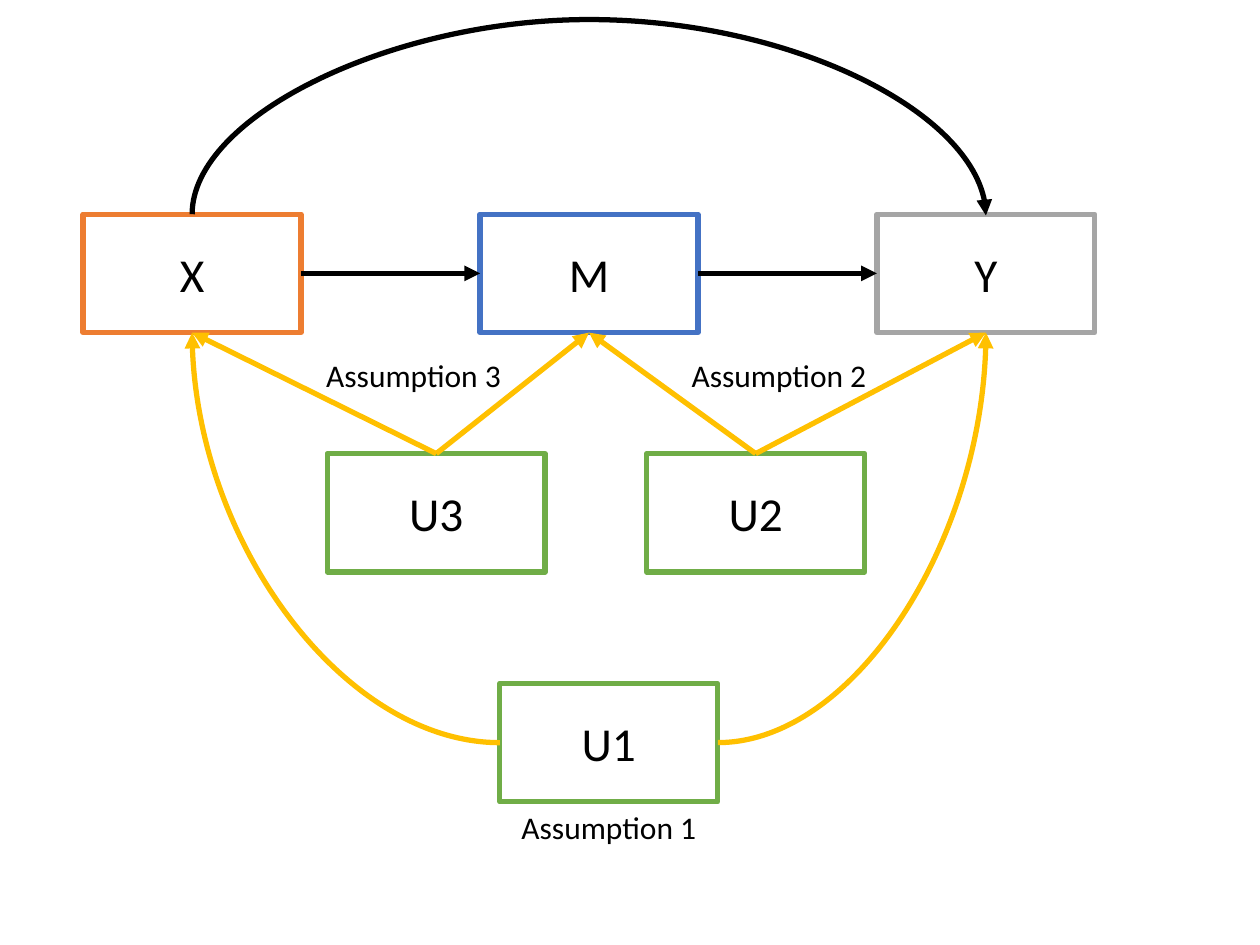
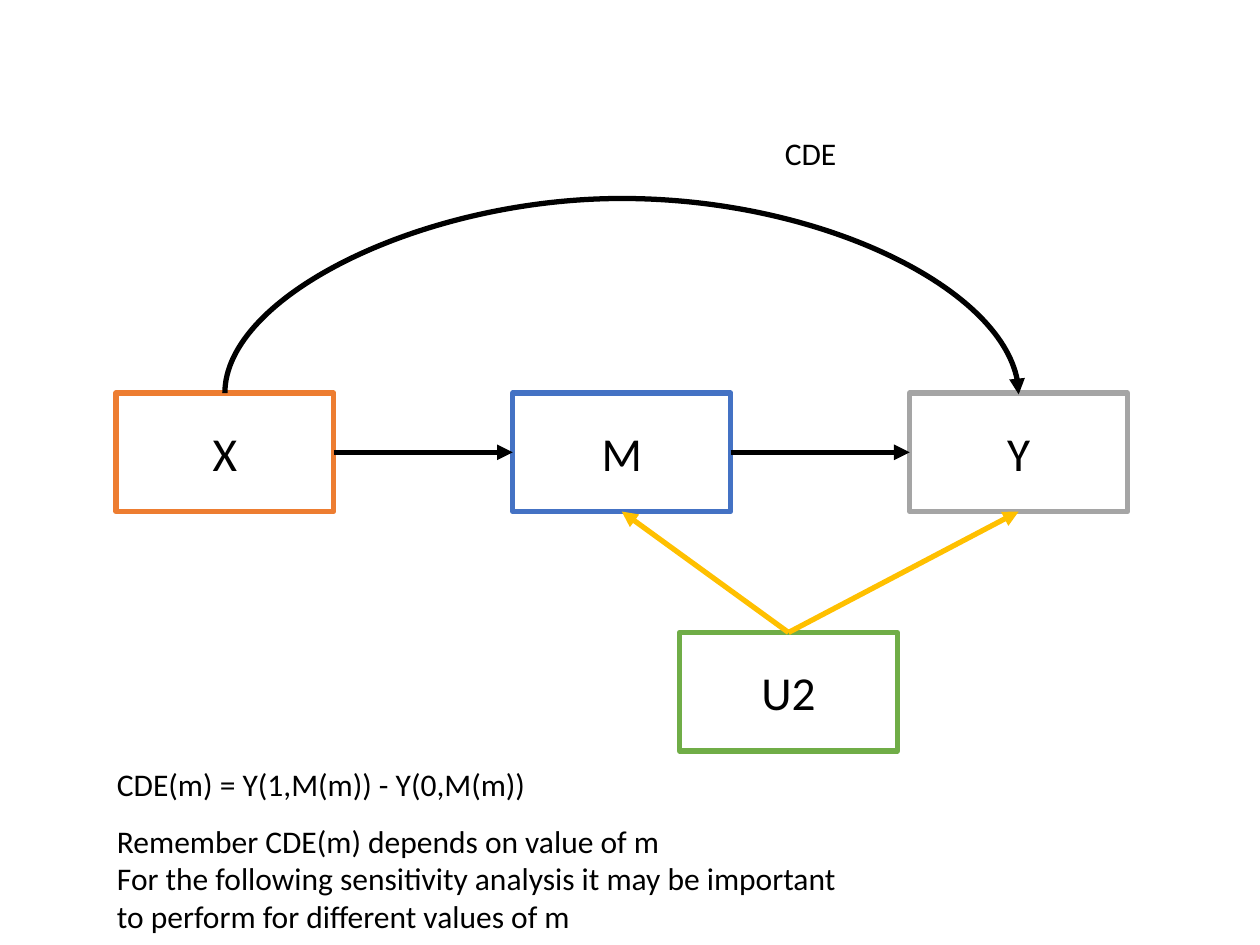
from lxml.etree import SubElement
from pptx import Presentation
from pptx.dml.color import RGBColor
from pptx.enum.shapes import MSO_CONNECTOR, MSO_SHAPE
from pptx.enum.text import MSO_ANCHOR, MSO_AUTO_SIZE, PP_ALIGN
from pptx.oxml.ns import qn
from pptx.util import Inches, Pt

BLACK = RGBColor(0x00, 0x00, 0x00)
WHITE = RGBColor(0xFF, 0xFF, 0xFF)
ORANGE = RGBColor(0xED, 0x7D, 0x31)
BLUE = RGBColor(0x44, 0x72, 0xC4)
GRAY = RGBColor(0xA5, 0xA5, 0xA5)
GREEN = RGBColor(0x70, 0xAD, 0x47)
GOLD = RGBColor(0xFF, 0xC0, 0x00)

SLIDE_W, SLIDE_H = Inches(10), Inches(7.5)
NODE_W, NODE_H = Inches(1.73), Inches(0.94)
COLUMN = Inches(3.15)   # step from X to M and from M to Y
ROW = Inches(1.9)       # step from the chain down to U2 and U3
ARC_RISE = Inches(1.57)
STROKE = Pt(3)
FONT = "Calibri"
NODE_SIZE, LABEL_SIZE = Pt(27), Pt(18)
TOP, LEFT, BOTTOM, RIGHT = range(4)

CHAIN = {"X": ORANGE, "M": BLUE, "Y": GRAY}
# Offsets of the confounders from the chain, in columns and rows
CONFOUNDERS = {"U1": (1.05, 1.96), "U2": (1.42, 1), "U3": (0.615, 1)}


def write(frame, paragraphs, size, align=PP_ALIGN.LEFT):
    for index, text in enumerate(paragraphs):
        paragraph = frame.paragraphs[0] if index == 0 else frame.add_paragraph()
        paragraph.alignment = align
        run = paragraph.add_run()
        run.text = text
        run.font.color.rgb = BLACK
        for name, value in {"name": FONT, "size": size}.items():
            setattr(run.font, name, value)


def add_node(slide, name, color, left, top):
    node = slide.shapes.add_shape(MSO_SHAPE.RECTANGLE, left, top, NODE_W, NODE_H)
    node.shadow.inherit = False
    node.fill.solid()
    node.fill.fore_color.rgb = WHITE
    node.line.color.rgb = color
    node.line.width = STROKE
    node.text_frame.vertical_anchor = MSO_ANCHOR.MIDDLE
    write(node.text_frame, [name], NODE_SIZE, PP_ALIGN.CENTER)
    return node


def add_label(slide, x, y, width, height, *paragraphs, wrap=False):
    """Place a label by shares of the slide's size."""
    label = slide.shapes.add_textbox(
        int(x * SLIDE_W), int(y * SLIDE_H), int(width * SLIDE_W), int(height * SLIDE_H))
    label.text_frame.word_wrap = wrap
    label.text_frame.auto_size = MSO_AUTO_SIZE.SHAPE_TO_FIT_TEXT
    write(label.text_frame, paragraphs, LABEL_SIZE)


def style_arrow(arrow, color):
    arrow.line.color.rgb = color
    arrow.line.width = STROKE
    properties = arrow.element.spPr
    SubElement(properties.find(qn("a:ln")), qn("a:tailEnd"), type="triangle")
    SubElement(properties, qn("a:effectLst"))


def add_arrow(slide, source, source_side, target, target_side, color):
    arrow = slide.shapes.add_connector(MSO_CONNECTOR.STRAIGHT, 0, 0, 0, 0)
    arrow.begin_connect(source, source_side)
    arrow.end_connect(target, target_side)
    style_arrow(arrow, color)


def add_curve(slide, left, top, width, height, color, preset, turn, bend=None):
    """Draw a curved arrow in a box; turn holds its rotation and flips."""
    curve = slide.shapes.add_connector(
        MSO_CONNECTOR.CURVE, left, top, left + width, top + height)
    properties = curve.element.spPr
    for name, value in turn.items():
        properties.find(qn("a:xfrm")).set(name, value)
    geometry = properties.find(qn("a:prstGeom"))
    geometry.set("prst", preset)
    if bend is not None:
        SubElement(geometry.find(qn("a:avLst")), qn("a:gd"),
                   name="adj1", fmla=f"val {bend}")
    style_arrow(curve, color)


def middle(node):
    return node.left + node.width // 2


def add_direct_effect(slide, source, target):
    """Arc over the chain, from the top of source to the top of target."""
    span = middle(target) - middle(source)
    depth = Inches(0.01)
    add_curve(slide, middle(source) + (span - depth) // 2,
              source.top + (depth - span) // 2, depth, span, BLACK,
              "curvedConnector3", {"rot": "16200000", "flipH": "1"},
              bend=-round(ARC_RISE / depth * 100000))


def add_chain(slide, left, top):
    """X, M and Y in a row, with the direct and the mediated effect."""
    nodes = [add_node(slide, name, color, left + column * COLUMN, top)
             for column, (name, color) in enumerate(CHAIN.items())]
    for source, target in zip(nodes, nodes[1:]):
        add_arrow(slide, source, RIGHT, target, LEFT, BLACK)
    add_direct_effect(slide, nodes[0], nodes[-1])
    return nodes


def add_confounder(slide, name, left, top, targets=()):
    """Unmeasured node below the chain, with arrows up to its targets."""
    column, row = CONFOUNDERS[name]
    node = add_node(slide, name, GREEN, left + int(column * COLUMN), top + int(row * ROW))
    for target in targets:
        add_arrow(slide, node, TOP, target, BOTTOM, GOLD)
    return node


def add_outer_curves(slide, node, exposure, outcome):
    """Curves from the sides of node up to the exposure and the outcome."""
    base = exposure.top + NODE_H
    rise = node.top + NODE_H // 2 - base
    right = node.left + NODE_W
    for start, end, turn in ((middle(exposure), node.left, {"rot": "10800000"}),
                             (right, middle(outcome), {"flipV": "1"})):
        add_curve(slide, start, base, end - start, rise, GOLD, "curvedConnector2", turn)


def build_assumptions(slide, left, top):
    exposure, mediator, outcome = add_chain(slide, left, top)
    add_confounder(slide, "U2", left, top, (outcome, mediator))
    add_confounder(slide, "U3", left, top, (mediator, exposure))
    common_cause = add_confounder(slide, "U1", left, top)
    add_outer_curves(slide, common_cause, exposure, outcome)
    for number, x, y in ((1, 0.404, 0.848), (2, 0.539, 0.37), (3, 0.249, 0.37)):
        add_label(slide, x, y, 0.161, 0.054, f"Assumption {number}")


def build_controlled_effect(slide, left, top):
    _, mediator, outcome = add_chain(slide, left, top)
    add_confounder(slide, "U2", left, top, (outcome, mediator))
    add_label(slide, 0.613, 0.135, 0.062, 0.054, "CDE")
    add_label(slide, 0.083, 0.803, 0.349, 0.054, "CDE(m) = Y(1,M(m)) - Y(0,M(m))")
    add_label(slide, 0.083, 0.863, 0.591, 0.135,
              "Remember CDE(m) depends on value of m",
              "For the following sensitivity analysis it may be important "
              "to perform for different values of m", wrap=True)


def main():
    deck = Presentation()
    deck.slide_width, deck.slide_height = SLIDE_W, SLIDE_H
    blank = deck.slide_layouts[6]
    for build, left, top in ((build_assumptions, 0.66, 1.7),
                             (build_controlled_effect, 0.92, 3.12)):
        build(deck.slides.add_slide(blank), Inches(left), Inches(top))
    deck.save("out.pptx")


if __name__ == "__main__":
    main()
